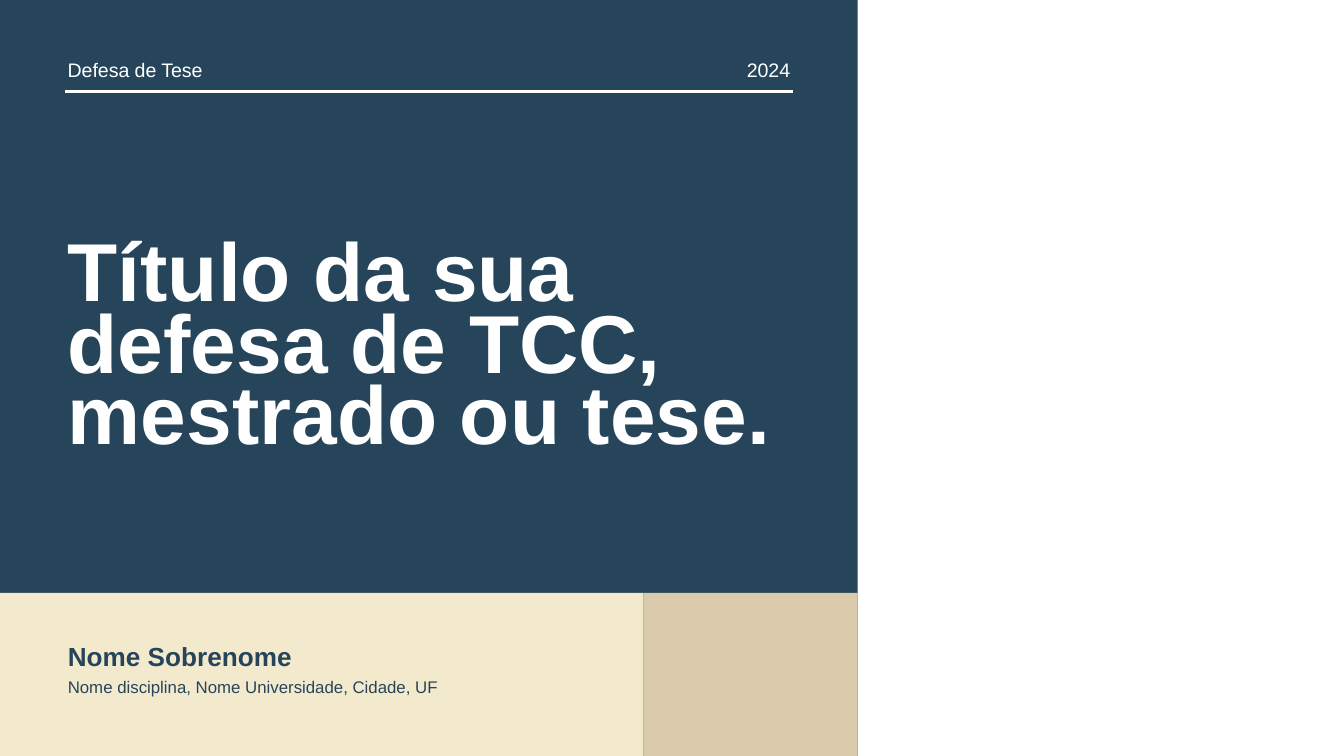
from lxml.etree import SubElement
from pptx import Presentation
from pptx.dml.color import RGBColor
from pptx.enum.shapes import MSO_CONNECTOR, MSO_SHAPE
from pptx.enum.text import MSO_ANCHOR, MSO_AUTO_SIZE, PP_ALIGN
from pptx.oxml.ns import qn
from pptx.util import Pt

COLORS = {"navy": "26455A", "cream": "F3EACD", "sand": "DACBAC", "white": "FFFFFF"}
WIDTH, HEIGHT = 720, 405
LEFT, RIGHT = 34.8, 424.8
PANEL_WIDTH, BAND_TOP, SAND_LEFT = 459.4, 317.6, 344.8


def write(box, frame, text, size, color, bold=False, align=PP_ALIGN.LEFT, spacing=1.0):
    """Place a text box or placeholder and format its single paragraph."""
    box.left, box.top, box.width, box.height = map(Pt, frame)
    text_frame = box.text_frame
    text_frame.text = text
    text_frame.word_wrap = True
    text_frame.auto_size = MSO_AUTO_SIZE.NONE
    text_frame.vertical_anchor = MSO_ANCHOR.MIDDLE
    text_frame.margin_left = text_frame.margin_right = Pt(1.5)
    text_frame.margin_top = text_frame.margin_bottom = Pt(1.5)
    paragraph = text_frame.paragraphs[0]
    paragraph.alignment = align
    paragraph.line_spacing = spacing
    paragraph.space_before = Pt(0)
    font = paragraph.runs[0].font
    font.name, font.size, font.bold = "Arial", Pt(size), bold
    font.color.rgb = RGBColor.from_string(COLORS[color])


prs = Presentation()
prs.slide_width, prs.slide_height = Pt(WIDTH), Pt(HEIGHT)
slide = prs.slides.add_slide(prs.slide_layouts[0])
shapes = slide.shapes
title, author = slide.placeholders

# Background panels
for left, top, right, color in [
    (0, 0, PANEL_WIDTH, "navy"),
    (0, BAND_TOP, SAND_LEFT, "cream"),
    (SAND_LEFT, BAND_TOP, PANEL_WIDTH, "sand"),
]:
    panel = shapes.add_shape(
        MSO_SHAPE.RECTANGLE, Pt(left), Pt(top), Pt(right - left), Pt(HEIGHT - top)
    )
    panel.shadow.inherit = False
    panel.fill.solid()
    panel.fill.fore_color.rgb = RGBColor.from_string(COLORS[color])
    panel.line.fill.background()
    title.element.addprevious(panel.element)  # keep the panels behind the text

# Title and author
write(title, (LEFT, 130.3, 396, 116), "Título da sua defesa de TCC, mestrado ou tese.",
      44, "white", bold=True, spacing=0.73)
write(author, (LEFT, 341.5, 239, 20), "Nome Sobrenome", 14, "navy", bold=True)

# Affiliation and header labels
for frame, text, size, color, align in [
    ((LEFT, 361, 291.6, 13.5), "Nome disciplina, Nome Universidade, Cidade, UF",
     9, "navy", PP_ALIGN.LEFT),
    ((LEFT, 29.5, 139, 15.5), "Defesa de Tese", 10.5, "white", PP_ALIGN.LEFT),
    ((RIGHT - 106, 29.5, 106, 15.5), "2024", 10.5, "white", PP_ALIGN.RIGHT),
]:
    label = shapes.add_textbox(0, 0, 0, 0)
    write(label, frame, text, size, color, align=align)

# Header rule
rule = shapes.add_connector(MSO_CONNECTOR.STRAIGHT, Pt(LEFT), Pt(49), Pt(RIGHT), Pt(49))
rule.line.width = Pt(2)
rule.line.color.rgb = RGBColor.from_string(COLORS["white"])
SubElement(rule.element.spPr, qn("a:effectLst"))

prs.save("out.pptx")
